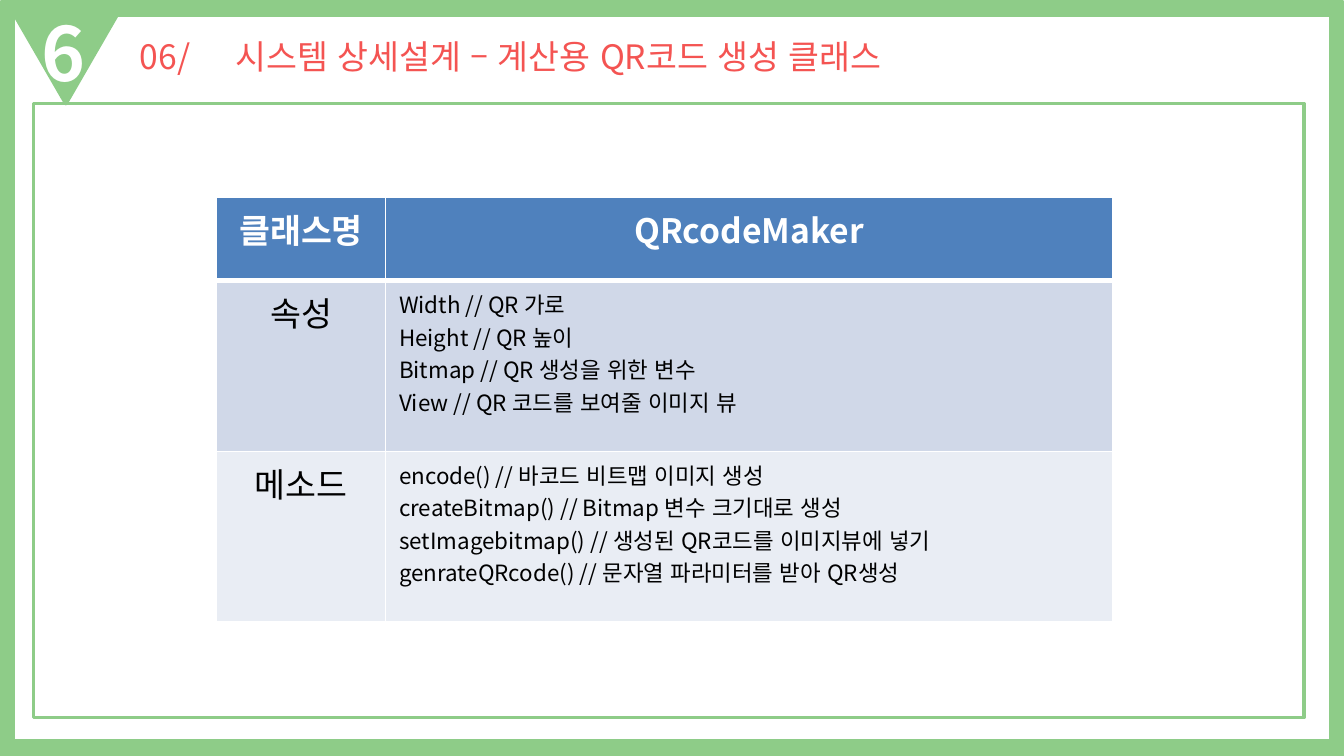
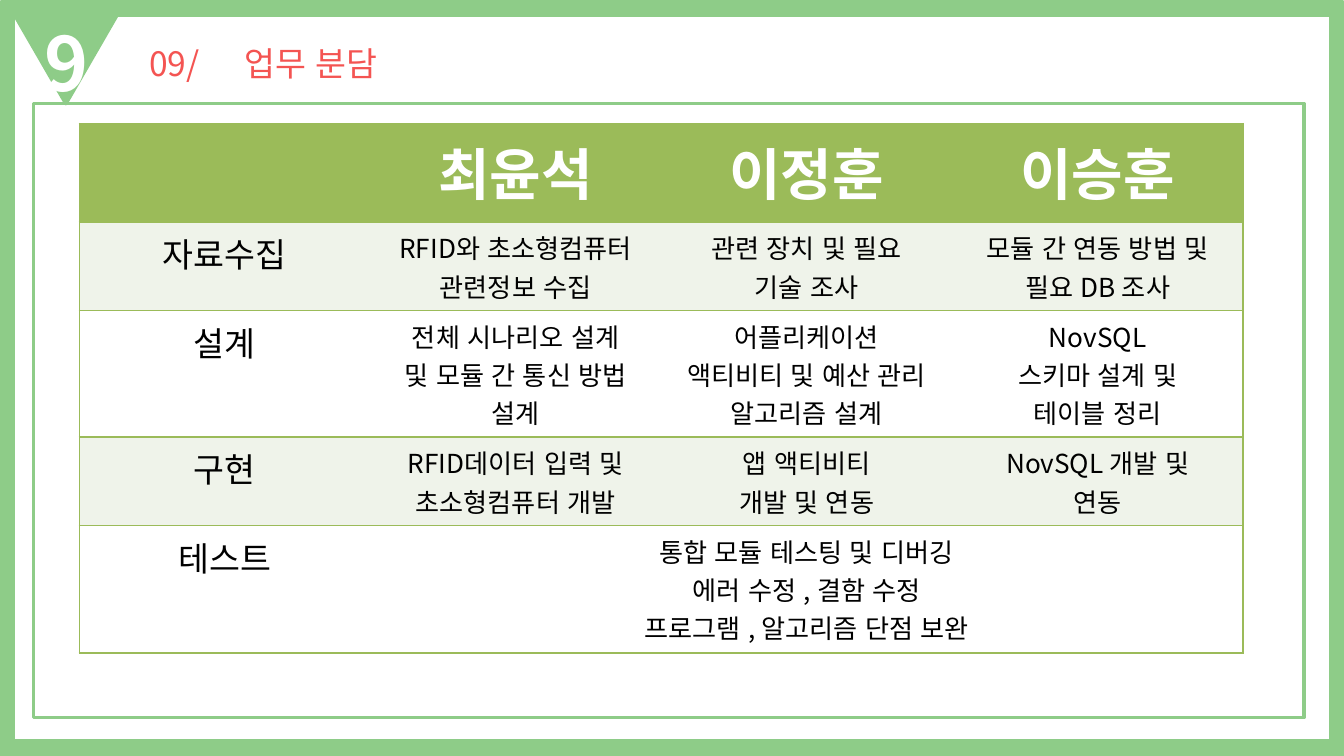
"""Build two slides: a class design table and a table of shared work."""
import dataclasses

import lxml.etree
import pptx
import pptx.dml.color
import pptx.enum.lang
import pptx.enum.shapes
import pptx.enum.text
import pptx.oxml.ns
import pptx.util

Inches = pptx.util.Inches
Align = pptx.enum.text.PP_ALIGN
Shape = pptx.enum.shapes.MSO_SHAPE
qn = pptx.oxml.ns.qn


@dataclasses.dataclass(frozen=True)
class Theme:
    """Fonts, colours and type sizes shared by the slides."""

    font: str = "Noto Sans CJK KR"
    green: str = "8ECC88"
    red: str = "F45452"
    white: str = "FFFFFF"
    black: str = "000000"
    blue_head: str = "4F81BD"
    blue_bands: tuple = ("D0D8E8", "E9EDF4")
    olive: str = "9BBB59"
    olive_bands: tuple = ("EFF3EA", "FFFFFF")
    badge: int = 40
    names: int = 30
    heading: int = 18
    work: int = 14
    detail: int = 12


THEME = Theme()

CLASS_ROWS = [
    ["클래스명", "QRcodeMaker"],
    ["속성", "Width // QR 가로\nHeight // QR 높이\n"
             "Bitmap // QR 생성을 위한 변수\nView // QR 코드를 보여줄 이미지 뷰"],
    ["메소드", "encode() // 바코드 비트맵 이미지 생성\n"
              "createBitmap() // Bitmap 변수 크기대로 생성\n"
              "setImagebitmap() // 생성된 QR코드를 이미지뷰에 넣기\n"
              "genrateQRcode() // 문자열 파라미터를 받아 QR생성"],
]
WORK_ROWS = [
    ["", "최윤석", "이정훈", "이승훈"],
    ["자료수집", "RFID와 초소형컴퓨터 관련정보 수집",
     "관련 장치 및 필요\n기술 조사", "모듈 간 연동 방법 및 필요 DB 조사"],
    ["설계", "전체 시나리오 설계\n및 모듈 간 통신 방법\n설계",
     "어플리케이션\n액티비티 및 예산 관리 알고리즘 설계",
     "NovSQL\n스키마 설계 및\n테이블 정리"],
    ["구현", "RFID데이터 입력 및 초소형컴퓨터 개발",
     "앱 액티비티\n개발 및 연동", "NovSQL 개발 및\n연동"],
    ["테스트", "통합 모듈 테스팅 및 디버깅\n에러 수정 , 결함 수정\n"
              "프로그램 , 알고리즘 단점 보완", "", ""],
]


def rgb(color):
    """Return the colour object for a hex string."""
    return pptx.dml.color.RGBColor.from_string(color)


def write_text(frame, text, size, color=THEME.black, bold=False,
               align=Align.CENTER, spacing=None, tab=None):
    """Fill a text frame, one paragraph a line, in one format."""
    frame.text = text
    for para in frame.paragraphs:
        para.alignment = align
        if tab:
            tabs = lxml.etree.SubElement(
                para._p.get_or_add_pPr(), qn("a:tabLst"))
            lxml.etree.SubElement(
                tabs, qn("a:tab"), pos=str(Inches(tab)), algn="l")
        for span in para.runs:
            span.font.name = THEME.font
            span.font.size = pptx.util.Pt(size)
            span.font.bold = bold
            span.font.color.rgb = rgb(color)
            span.font.language_id = pptx.enum.lang.MSO_LANGUAGE_ID.KOREAN
            properties = span.font._element
            lxml.etree.SubElement(
                properties, qn("a:ea"), typeface=THEME.font)
            if spacing:
                properties.set("spc", str(round(spacing * 100)))


def add_outline(page, kind, place, width, fill=None, opacity=None):
    """Add a green-lined shape with an optional fill."""
    shape = page.shapes.add_shape(kind, *map(Inches, place))
    shape.shadow.inherit = False
    shape.line.color.rgb = rgb(THEME.green)
    shape.line.width = pptx.util.Pt(width)
    if fill:
        shape.fill.solid()
        shape.fill.fore_color.rgb = rgb(fill)
    else:
        shape.fill.background()
    if opacity:
        color = shape.element.spPr.find(qn("a:solidFill"))[0]
        lxml.etree.SubElement(
            color, qn("a:alpha"), val=str(opacity * 1000))
    return shape


def decorate_layout(layout, page):
    """Draw the frame, panel and badge triangle once and move them to the layout."""
    border = add_outline(page, Shape.RECTANGLE, (0.04, 0.06, 9.92, 5.51), 10)
    panel = add_outline(page, Shape.RECTANGLE, (0.25, 0.77, 9.45, 4.57), 2,
                        fill=THEME.white, opacity=50)
    badge = add_outline(page, Shape.ISOSCELES_TRIANGLE,
                        (0.08, 0.06, 0.82, 0.71), 2, fill=THEME.green)
    badge.rotation = 180
    for index, shape in enumerate((border, panel, badge)):
        shape.element.nvSpPr.cNvPr.set("id", str(101 + index))
        layout.shapes.element.insert(2 + index, shape.element)


def add_badge(page, number, place):
    """Write the section number over the badge triangle."""
    box = page.shapes.add_textbox(*map(Inches, place))
    box.text_frame.word_wrap = True
    write_text(box.text_frame, number, THEME.badge, color=THEME.white,
               bold=True, spacing=-1.5)


def set_title(page, text, place, margin):
    """Move the title placeholder and write the section title in it."""
    title = page.shapes.title
    title.left, title.top, title.width, title.height = map(Inches, place)
    frame = title.text_frame
    frame.margin_left = Inches(margin)
    frame.vertical_anchor = pptx.enum.text.MSO_ANCHOR.TOP
    frame.auto_size = pptx.enum.text.MSO_AUTO_SIZE.NONE
    write_text(frame, text, THEME.heading, color=THEME.red,
               align=Align.LEFT, tab=0.71)


def style_cell(cell, fill, borders):
    """Set the cell's borders (side to colour and width) and its fill."""
    properties = cell._tc.get_or_add_tcPr()
    for side in "LRTB":
        line = lxml.etree.SubElement(properties, qn("a:ln" + side))
        if side in borders:
            color, width = borders[side]
            line.set("w", str(pptx.util.Pt(width)))
            solid = lxml.etree.SubElement(line, qn("a:solidFill"))
            lxml.etree.SubElement(solid, qn("a:srgbClr"), val=color)
        else:
            lxml.etree.SubElement(line, qn("a:noFill"))
    cell.fill.solid()
    cell.fill.fore_color.rgb = rgb(fill)


def add_grid(page, rows, place, widths, heights, head, bands, borders_at,
             head_size, body_size, body_align, merge=None):
    """Add a table with a header row, a label column and banded rows."""
    frame = page.shapes.add_table(
        len(rows), len(widths), *map(Inches, place),
        Inches(sum(widths)), Inches(sum(heights)))
    table = frame.table
    table.first_row = table.horz_banding = False
    for column, width in zip(table.columns, widths):
        column.width = Inches(width)
    for row, height in zip(table.rows, heights):
        row.height = Inches(height)
    if merge:
        first, last = merge
        table.cell(*first).merge(table.cell(*last))
    for r, texts in enumerate(rows):
        for c, text in enumerate(texts):
            cell = table.cell(r, c)
            is_last = c + cell.span_width == len(widths)
            style_cell(cell, bands[(r - 1) % 2] if r else head,
                       borders_at(r, c, is_last))
            if r == 0:
                look = dict(size=head_size, color=THEME.white, bold=True)
            elif c == 0:
                look = dict(size=THEME.heading)
            else:
                look = dict(size=body_size, align=body_align)
            if text:
                write_text(cell.text_frame, text, **look)


def class_borders(row, column, is_last):
    """Return white borders, heavy between the header and the body."""
    borders = {side: (THEME.white, 1) for side in "LRTB"}
    if row < 2:
        borders["T" if row else "B"] = (THEME.white, 3)
    return borders


def work_borders(row, column, is_last):
    """Return olive row lines, with side lines at the outer edges."""
    sides = "TB" + "L" * (column == 0) + "R" * is_last
    return {side: (THEME.olive, 1) for side in sides}


def main():
    """Build and save the deck."""
    deck = pptx.Presentation()
    deck.slide_width = Inches(10)
    deck.slide_height = deck.slide_width * 9 // 16
    layout = deck.slide_layouts[5]

    page = deck.slides.add_slide(layout)
    decorate_layout(layout, page)
    add_badge(page, "6", (0.2, 0, 0.55, 0.77))
    set_title(page, "06/\t시스템 상세설계 – 계산용 QR코드 생성 클래스",
              (0.67, 0.22, 6.38, 0.4), margin=0.37)
    add_grid(page, CLASS_ROWS, (1.61, 1.47), [1.26, 5.41],
             [0.62, 1.27, 1.27], THEME.blue_head, THEME.blue_bands,
             class_borders, THEME.heading, THEME.detail, Align.LEFT)

    page = deck.slides.add_slide(layout)
    add_badge(page, "9", (0.23, 0.08, 0.51, 0.77))
    add_grid(page, WORK_ROWS, (0.59, 0.92), [8.66 / 4] * 4,
             [0.73, 0.66, 0.94, 0.66, 0.95], THEME.olive, THEME.olive_bands,
             work_borders, THEME.names, THEME.work, Align.CENTER,
             merge=((4, 1), (4, 3)))
    set_title(page, "09/\t업무 분담", (0.91, 0.27, 2.13, 0.4), margin=0.2)

    deck.save("out.pptx")


if __name__ == "__main__":
    main()
